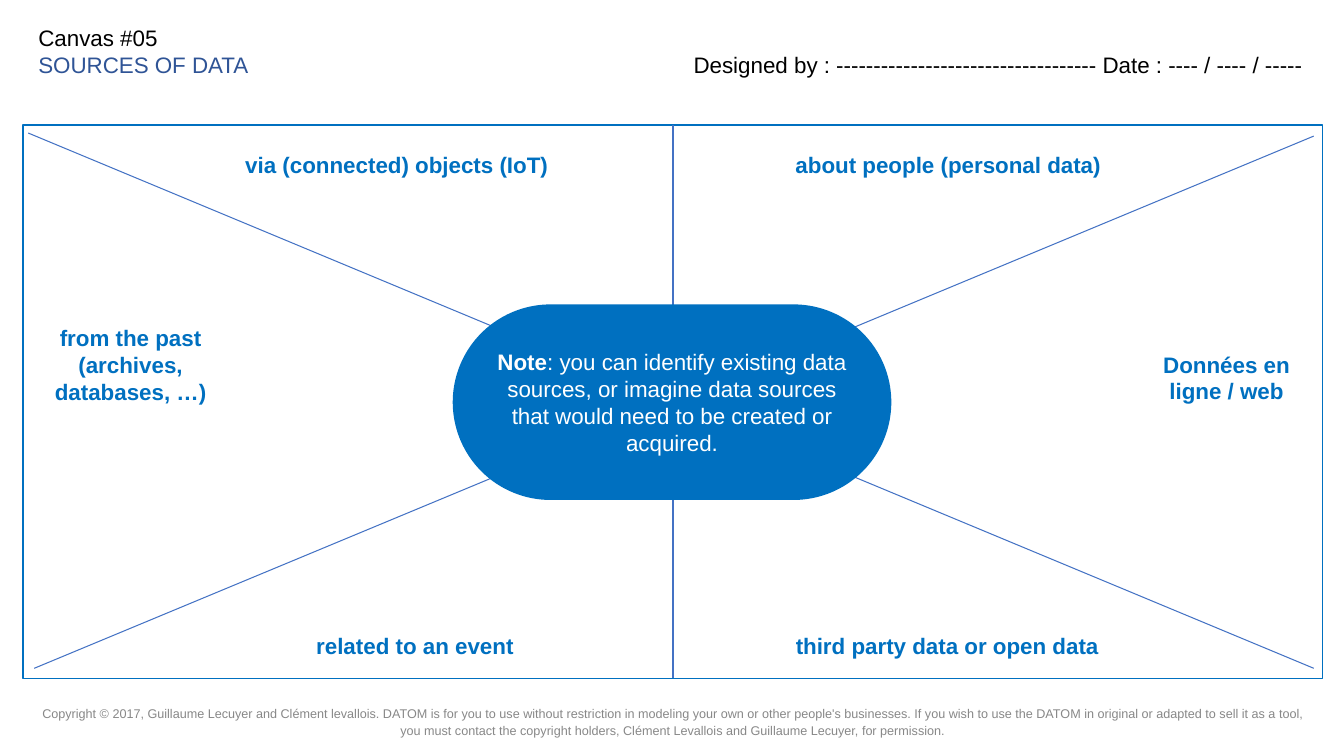
from dataclasses import dataclass

from lxml import etree
from pptx import Presentation
from pptx import util as u
from pptx.dml.color import RGBColor
from pptx.enum import shapes, text
from pptx.oxml import ns


@dataclass(frozen=True)
class Theme:
    font: str = "Arial"
    body: int = 16
    small: int = 9
    black: str = "000000"
    white: str = "FFFFFF"
    gray: str = "888888"
    navy: str = "2F5496"
    blue: str = "0070C0"
    ray: str = "4472C4"


THEME = Theme()
LEFT, MID = text.PP_ALIGN.LEFT, text.PP_ALIGN.CENTER
TOP, CORE = text.MSO_ANCHOR.TOP, text.MSO_ANCHOR.MIDDLE

LABELS = [
    ((6.44, 1.45, 5.93, 0.37), ["about people (personal data)"]),
    ((0.97, 1.45, 5.93, 0.37), ["via (connected) objects (IoT)"]),
    ((6.82, 6.22, 5.15, 0.37), ["third party data or open data"]),
    ((11.31, 3.43, 1.71, 0.64), ["Données en ligne / web"]),
    ((1.54, 6.22, 5.15, 0.37), ["related to an event"]),
    ((0.44, 3.17, 1.71, 1.72), ["from the past", "(archives, databases, …)"]),
]
RAYS = [(0.28, 1.32, 13.03, 6.63), (0.34, 6.63, 13.03, 1.35)]
RIGHTS = (
    "Copyright © 2017, Guillaume Lecuyer and Clément levallois. DATOM is for "
    "you to use without restriction in modeling your own or other people's "
    "businesses. If you wish to use the DATOM in original or adapted to sell "
    "it as a tool, you must contact the copyright holders, Clément Levallois "
    "and Guillaume Lecuyer, for permission."
)


def inches(nums):
    return [u.Inches(n) for n in nums]


def color(code):
    return RGBColor.from_string(code)


def write(shape, paras, size=THEME.body, ink=THEME.blue, bold=False,
          align=MID, anchor=TOP, pad=0.05, space=None, after=None):
    """Fill a shape with paragraphs; each is a string or a list of
    (words, ink, bold) runs, where a line feed makes a line break."""
    frame = shape.text_frame
    frame.word_wrap = True
    frame.auto_size = text.MSO_AUTO_SIZE.NONE
    frame.vertical_anchor = anchor
    frame.margin_left = frame.margin_right = u.Inches(0.1)
    frame.margin_top = frame.margin_bottom = u.Inches(pad)
    for i, runs in enumerate(paras):
        para = frame.add_paragraph() if i else frame.paragraphs[0]
        para.alignment = align
        para.line_spacing = space
        para.space_after = after
        if isinstance(runs, str):
            runs = [(runs, ink, bold)]
        for words, tint, heavy in runs:
            run = para.add_run()
            run.text = words.rstrip("\n")
            font = run.font
            font.name, font.size, font.bold = THEME.font, u.Pt(size), heavy
            font.color.rgb = color(tint)
            if words.endswith("\n"):
                para.add_line_break()


def label(slide, box, paras, **style):
    write(slide.shapes.add_textbox(*inches(box)), paras, **style)


def block(slide, kind, box, fill=None):
    shape = slide.shapes.add_shape(kind, *inches(box))
    shape.shadow.inherit = False
    shape.line.color.rgb = color(THEME.blue)
    shape.line.width = u.Pt(1)
    if fill:
        shape.fill.solid()
        shape.fill.fore_color.rgb = color(fill)
        shape.line.fill.background()
    else:
        shape.fill.background()
    return shape


def ray(slide, ends):
    line = slide.shapes.add_connector(shapes.MSO_CONNECTOR.STRAIGHT,
                                      *inches(ends))
    line.line.color.rgb = color(THEME.ray)
    line.line.width = u.Pt(0.75)
    etree.SubElement(line._element.spPr, ns.qn("a:effectLst"))
    return line


def head(slide):
    title = slide.shapes.title
    title.left, title.top, title.width, title.height = inches(
        (0.28, 0.14, 6.39, 0.44))
    write(title, [[("Canvas #05\n", THEME.black, False),
                   ("SOURCES OF DATA", THEME.navy, False)]],
          align=LEFT, pad=0.1)
    sign = f"Designed by : {'-' * 35} Date : ---- / ---- / -----"
    label(slide, (6.78, 0.14, 6.39, 0.44), [sign], ink=THEME.black,
          align=LEFT, pad=0.1, space=2.0, after=u.Pt(6))


def main():
    deck = Presentation()
    deck.slide_width, deck.slide_height = inches((13.33, 7.5))
    slide = deck.slides.add_slide(deck.slide_layouts.get_by_name("Title Only"))

    head(slide)
    label(slide, (0.31, 6.94, 12.72, 0.56), [RIGHTS], size=THEME.small,
          ink=THEME.gray, space=1.1)

    frame = block(slide, shapes.MSO_SHAPE.RECTANGLE, (0.23, 1.24, 12.89, 5.49))
    for ends in RAYS:
        ray(slide, ends)
    split = ray(slide, (6.67, 1.24, 6.67, 6.73))
    split.begin_connect(frame, 0)
    split.end_connect(frame, 2)

    for box, paras in LABELS:
        label(slide, box, paras, bold=True)

    note = block(slide, shapes.MSO_SHAPE.ROUNDED_RECTANGLE,
                 (4.49, 3.02, 4.35, 1.94), fill=THEME.blue)
    note.adjustments[0] = 0.5
    write(note, [[("Note", THEME.white, True),
                  (": you can identify existing data sources, or imagine data "
                   "sources that would need to be created or acquired.",
                   THEME.white, False)]], anchor=CORE)

    deck.save("out.pptx")


if __name__ == "__main__":
    main()
